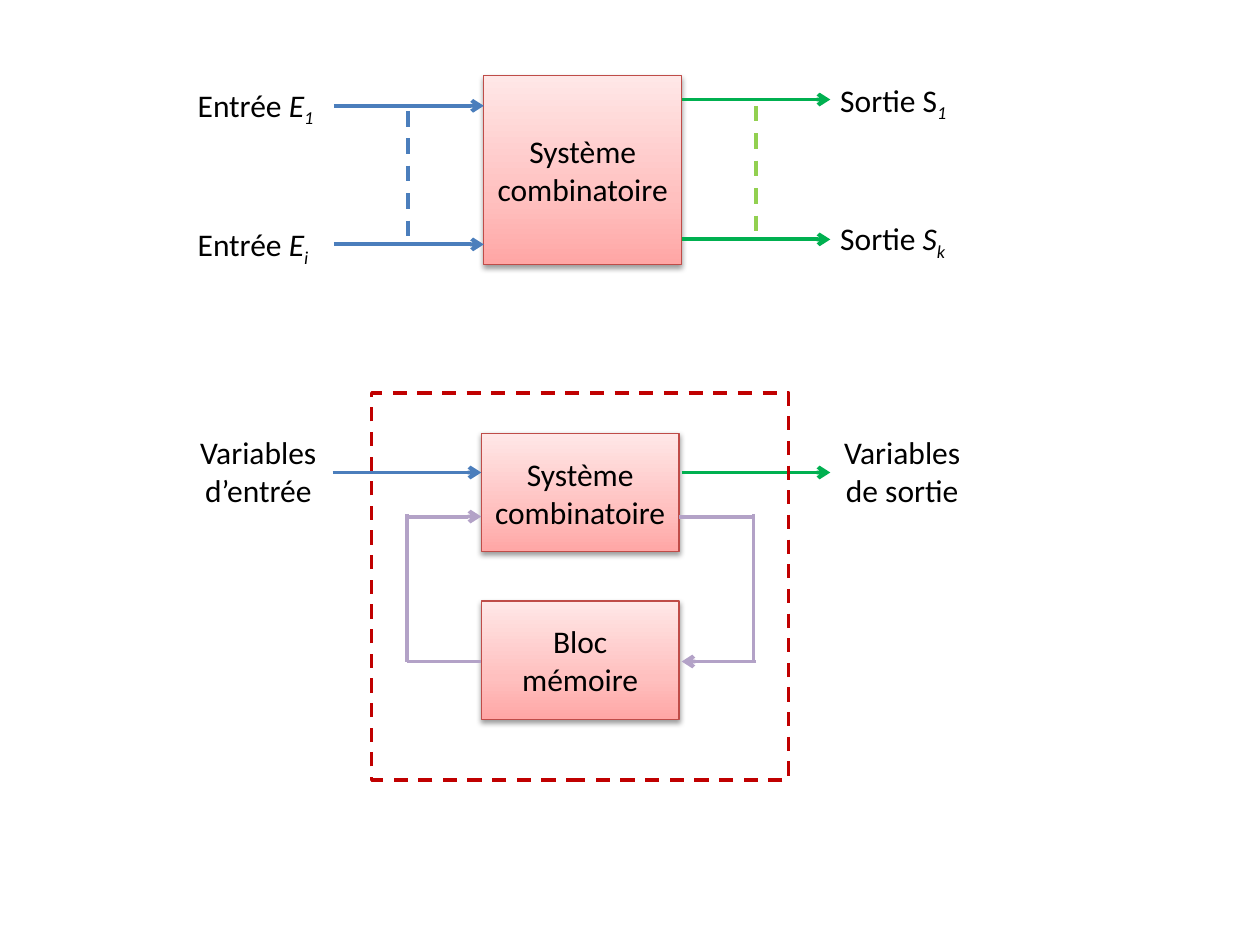
import pptx
import pptx.dml.color
import pptx.enum.dml
import pptx.enum.shapes
import pptx.enum.text
import pptx.oxml
import pptx.oxml.ns
import pptx.util
from pptx.util import Inches
from lxml import etree

BLUE, GREEN, LIME, PURPLE, RED = "4B7EBC", "00B050", "92D050", "B3A2C7", "C00000"
BLOCK_LINE = "BF4C48"
BLOCK_STOPS = [(0, "FFA6A5"), (35, "FFC0BF"), (100, "FFE7E7")]
BLOCK_WIDTH, LABEL_WIDTH = 1.57, 1.18

# text, left, top, height
BLOCKS = [
    ("Système combinatoire", 3.84, 0.6, 1.5),
    ("Système combinatoire", 3.82, 3.44, 0.94),
    ("Bloc mémoire", 3.82, 4.77, 0.94),
]

# left, top, height, centred, spans of (text, italic, subscript)
LABELS = [
    (1.47, 0.63, 0.4, False, [("Entrée ", False, False), ("E", True, False), ("1", True, True)]),
    (1.47, 1.74, 0.4, False, [("Entrée ", False, False), ("E", True, False), ("i", True, True)]),
    (6.57, 0.59, 0.4, False, [("Sortie S", False, False), ("1", True, True)]),
    (6.57, 1.69, 0.4, False, [("Sortie ", False, False), ("S", True, False), ("k", True, True)]),
    (1.46, 3.39, 0.71, True, [("Variables d’entrée", False, False)]),
    (6.57, 3.39, 0.71, True, [("Variables de sortie", False, False)]),
]

# start, end, colour
ARROWS = [
    ((2.65, 0.84), (3.84, 0.84), BLUE),
    ((2.65, 1.94), (3.84, 1.94), BLUE),
    ((5.41, 0.79), (6.59, 0.79), GREEN),
    ((5.41, 1.9), (6.59, 1.9), GREEN),
    ((2.64, 3.75), (3.82, 3.75), BLUE),
    ((5.41, 3.75), (6.59, 3.75), GREEN),
    ((3.23, 4.1), (3.82, 4.1), PURPLE),
    ((6.0, 5.25), (5.41, 5.25), PURPLE),
]
DASHES = [((3.24, 0.88), (3.24, 1.94), BLUE), ((6.0, 0.84), (6.0, 1.9), LIME)]
FEEDBACK = [
    ((5.98, 4.1), (5.39, 4.1), PURPLE),
    ((3.82, 5.25), (3.23, 5.25), PURPLE),
    ((3.23, 5.25), (3.23, 4.08), PURPLE),
    ((5.98, 5.25), (5.98, 4.08), PURPLE),
]
FRAME = (2.95, 3.12, 3.31, 3.07)


def colour(value):
    """Return the colour for a hex string."""
    return pptx.dml.color.RGBColor.from_string(value)


def add_child(parent, tag, **attributes):
    """Append a DrawingML element and return it."""
    return etree.SubElement(parent, pptx.oxml.ns.qn(tag), attributes)


def set_line(line, value, width, dashed=False):
    """Format an outline or a connector."""
    line.color.rgb = colour(value)
    line.width = pptx.util.Pt(width)
    if dashed:
        line.dash_style = pptx.enum.dml.MSO_LINE.DASH


def style_span(span, italic=False, subscript=False):
    """Give a run the slide's font."""
    span.font.name = "Calibri"
    span.font.size = pptx.util.Pt(18)
    span.font.color.rgb = colour("000000")
    if italic:
        span.font.italic = True
    if subscript:
        span.font._element.set("baseline", "-25000")


def add_rectangle(slide, left, top, width, height):
    """Add a rectangle without the theme shadow."""
    box = slide.shapes.add_shape(
        pptx.enum.shapes.MSO_SHAPE.RECTANGLE,
        Inches(left), Inches(top), Inches(width), Inches(height))
    box.shadow.inherit = False
    return box


def add_block(slide, text, left, top, height):
    """Add a shaded block with a gradient and a soft shadow."""
    box = add_rectangle(slide, left, top, BLOCK_WIDTH, height)
    box.fill.gradient()
    box.fill.gradient_angle = 90
    stops = box._element.spPr.find(".//" + pptx.oxml.ns.qn("a:gsLst"))
    for stop in list(stops):
        stops.remove(stop)
    for position, value in BLOCK_STOPS:
        stop = add_child(stops, "a:gs", pos=str(position * 1000))
        add_child(stop, "a:srgbClr", val=value)
    set_line(box.line, BLOCK_LINE, 0.75)
    effects = box._element.spPr.find(pptx.oxml.ns.qn("a:effectLst"))
    shadow = add_child(effects, "a:outerShdw", blurRad="40000", dist="20000",
                       dir="5400000", rotWithShape="0")
    add_child(add_child(shadow, "a:srgbClr", val="000000"), "a:alpha", val="38000")
    frame = box.text_frame
    frame.text = text
    frame.word_wrap = True
    frame.vertical_anchor = pptx.enum.text.MSO_ANCHOR.MIDDLE
    para = frame.paragraphs[0]
    para.alignment = pptx.enum.text.PP_ALIGN.CENTER
    style_span(para.runs[0])


def add_label(slide, left, top, height, centred, spans):
    """Add a text label made of styled runs."""
    box = slide.shapes.add_textbox(
        Inches(left), Inches(top), Inches(LABEL_WIDTH), Inches(height))
    frame = box.text_frame
    frame.word_wrap = True
    frame.auto_size = pptx.enum.text.MSO_AUTO_SIZE.SHAPE_TO_FIT_TEXT
    para = frame.paragraphs[0]
    if centred:
        para.alignment = pptx.enum.text.PP_ALIGN.CENTER
    for text, italic, subscript in spans:
        span = para.add_run()
        span.text = text
        style_span(span, italic, subscript)


def add_line(slide, start, end, value, arrow=False, dashed=False):
    """Add a straight connector."""
    line = slide.shapes.add_connector(
        pptx.enum.shapes.MSO_CONNECTOR.STRAIGHT,
        *[Inches(length) for length in start + end])
    set_line(line.line, value, 2.25, dashed)
    if arrow:
        add_child(line.line._get_or_add_ln(), "a:tailEnd", type="arrow")
    add_child(line._element.spPr, "a:effectLst")


deck = pptx.Presentation()
deck.slide_width, deck.slide_height = Inches(10), Inches(7.5)
page = deck.slides.add_slide(deck.slide_layouts[6])

for block in BLOCKS:
    add_block(page, *block)
for label in LABELS:
    add_label(page, *label)
for arrow_line in ARROWS:
    add_line(page, *arrow_line, arrow=True)
for dashed_line in DASHES:
    add_line(page, *dashed_line, dashed=True)
for feedback_line in FEEDBACK:
    add_line(page, *feedback_line)

boundary = add_rectangle(page, *FRAME)
boundary.fill.background()
set_line(boundary.line, RED, 2, dashed=True)

deck.save("out.pptx")
